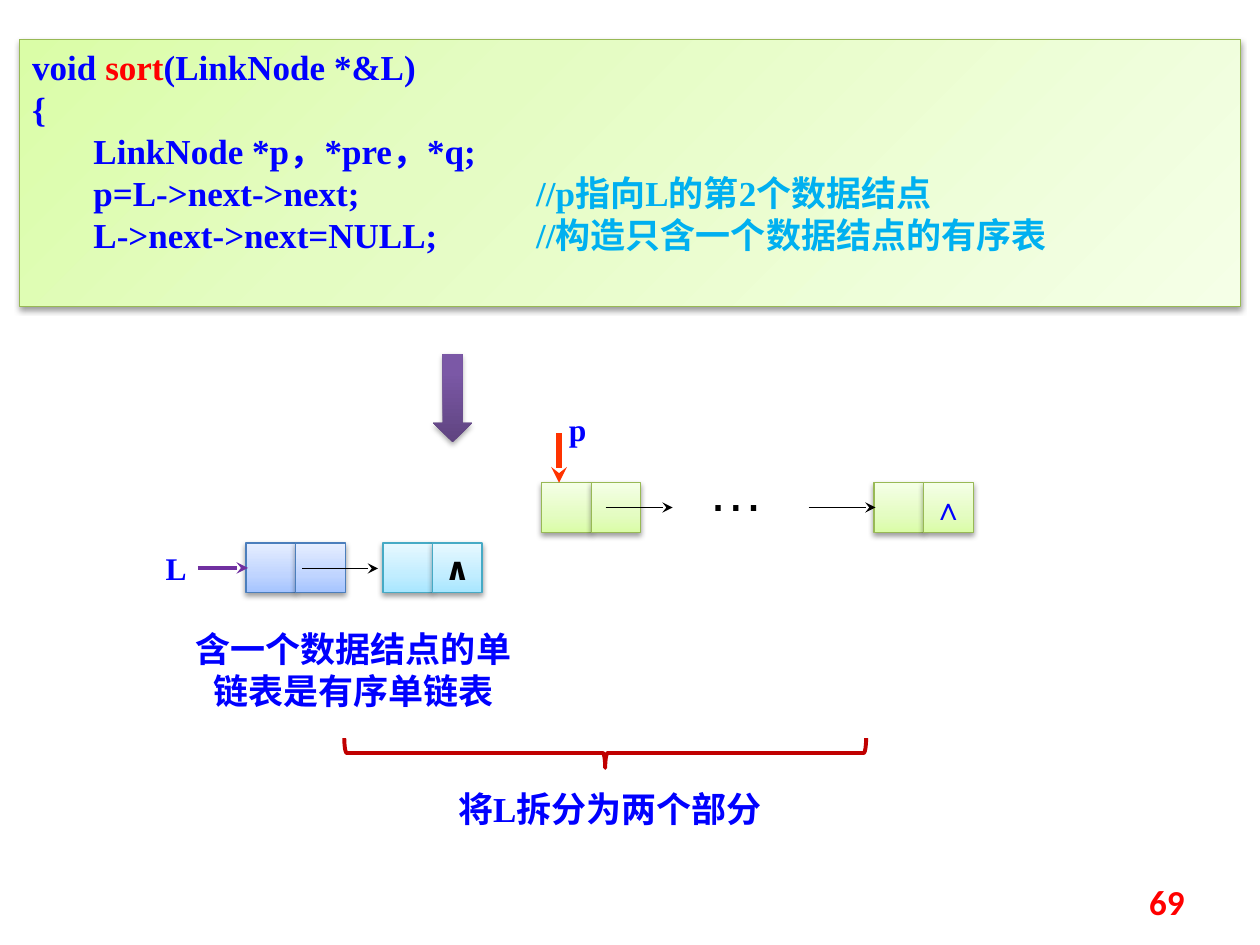
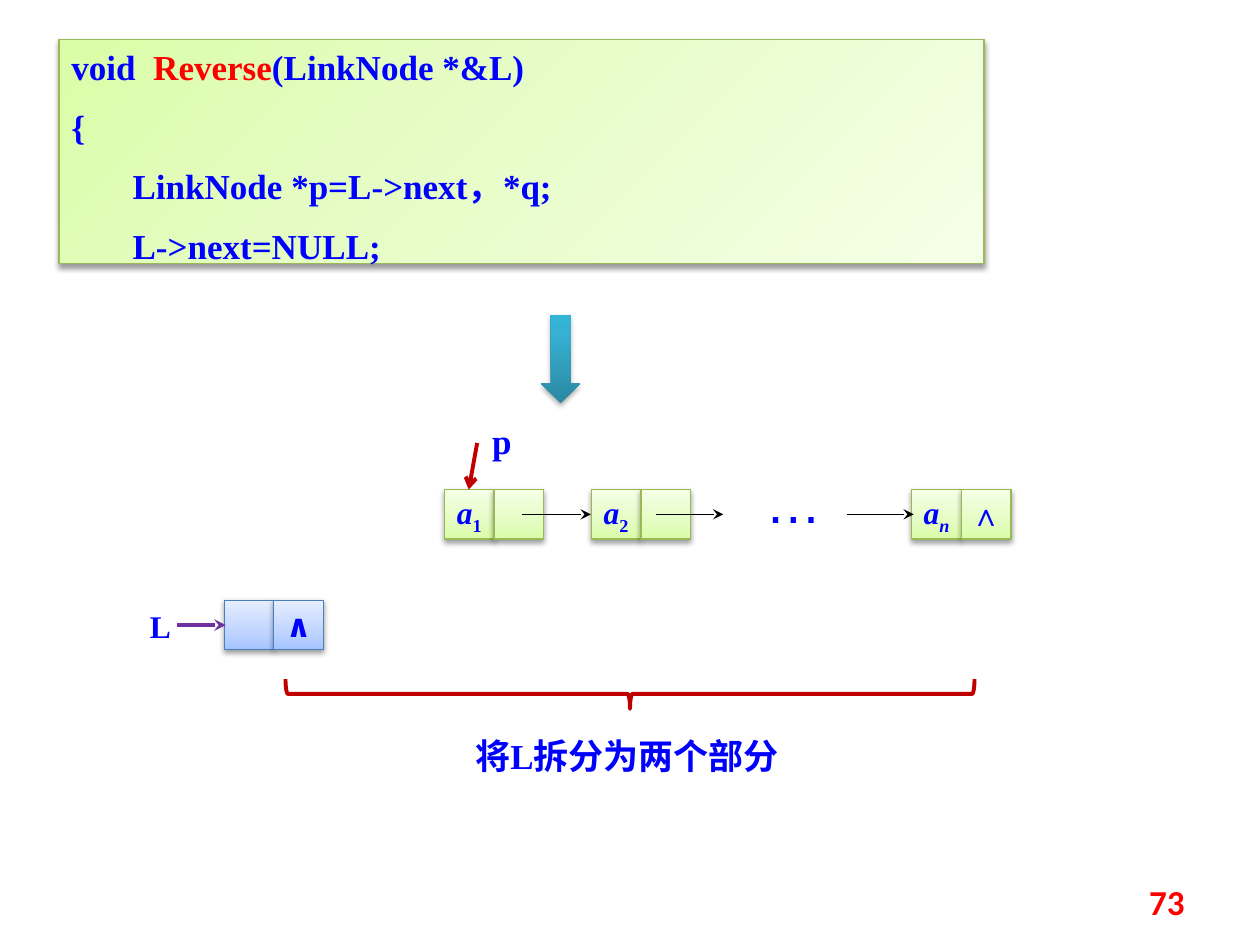
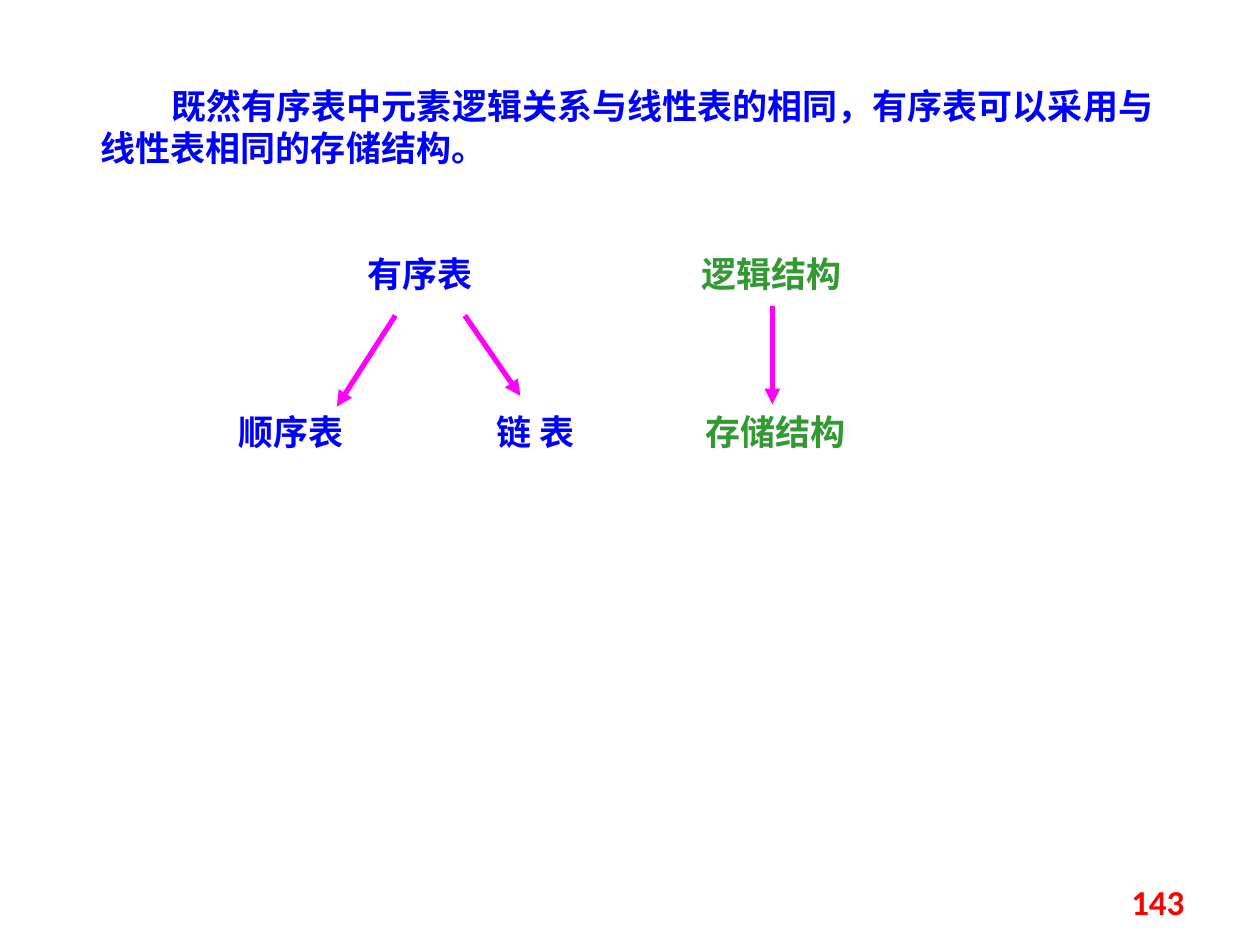
import pptx
import pptx.util
import pptx.dml.color
import pptx.enum.shapes
import pptx.enum.text
import pptx.oxml
import pptx.oxml.ns

Cm, Pt = pptx.util.Cm, pptx.util.Pt
SHAPE = pptx.enum.shapes.MSO_SHAPE
ALIGN = pptx.enum.text.PP_ALIGN
ANCHOR = pptx.enum.text.MSO_ANCHOR

# Shared look
BLUE, RED, SKY, BLACK = "0000FF", "FF0000", "00B0F0", "000000"
PURPLE, CRIMSON, MAGENTA, LEAF = "7030A0", "C00000", "FF00FF", "339933"
SERIF, EAST_ASIAN = "Times New Roman", "Noto Sans CJK SC"
# Gradient stops (percent, colour) and outline
GREEN_NODE = ([(0, "DAFDA7"), (35, "E4FCC2"), (100, "F5FFE7")], "98B955")
BLUE_NODE = ([(0, "A4C4FF"), (35, "BFD4FF"), (100, "E6EEFF")], "4B7EBC")
CYAN_NODE = ([(0, "A7E6FF"), (35, "C1EDFF"), (100, "E7F8FF")], "46AAC5")
PURPLE_ARROW = ([(0, "5F4480"), (80, "7B58A6"), (100, "7C57A8")], None)
CYAN_ARROW = ([(0, "2A88A2"), (80, "37B1D2"), (100, "34B4D6")], None)
CELL = 1.0
COMMENT_TAB = 10.16

# Content: a paragraph is a string or a list of (text, style) spans; places are in cm
END = [("∧", {})]
DARK_END = [("∧", {"font": "DejaVu Sans", "color": BLACK})]
BLUE_END = [("∧", {"font": "DejaVu Sans"})]


def element(index, italic=True):
    return [("a", {"italic": True}), (index, {"italic": italic, "baseline": -25})]


LIST_SLIDES = [
    {
        "code": [
            [("void ", {}), ("sort", {"color": RED}), ("(LinkNode *&L)", {})],
            "{",
            "       LinkNode *p，*pre，*q;",
            [("       p=L->next->next;\t", {}),
             ("//p指向L的第2个数据结点", {"color": SKY})],
            [("       L->next->next=NULL;\t", {}),
             ("//构造只含一个数据结点的有序表", {"color": SKY})],
        ],
        "code_place": (0.4, 0.8, 24.61, 5.38),
        "code_gap": 0,
        "step": ((8.73, 7.14), PURPLE_ARROW),
        # left, top, colours, data text, link text
        "nodes": [
            (4.96, 10.95, BLUE_NODE, None, None),
            (7.72, 10.95, CYAN_NODE, None, DARK_END),
            (10.92, 9.73, GREEN_NODE, None, None),
            (17.62, 9.73, GREEN_NODE, None, END),
        ],
        "links": [(6.09, 11.46, 7.62), (12.21, 10.23, 13.56), (16.3, 10.23, 17.65)],
        "head": (3.99, 11.45, 5.0, 11.45),
        "pointer": ((11.27, 8.73, 11.27, 9.73), "FF3300", 3, "stealth"),
        "labels": [
            ("L", (3.09, 10.95, 1.55, 1.02), {"size": 18}),
            ("p", (11.22, 8.14, 1, 1.02), {"size": 18}),
            ("…", (14.02, 9.06, 2, 1.6),
             {"size": 32, "font": "Arial", "color": BLACK, "bold": False}),
            ("含一个数据结点的单链表是有序单链表", (3.57, 12.52, 7.11, 1.96),
             {"align": ALIGN.CENTER}),
            ("将L拆分为两个部分", (8.73, 15.75, 7.14, 1.12), {"align": ALIGN.CENTER}),
        ],
        "brace": (12.2, 15.18, 10.52),
        "number": "69",
    },
    {
        "code": [
            [("void  ", {}), ("Reverse", {"color": RED}), ("(LinkNode *&L)", {})],
            "{",
            "       LinkNode *p=L->next，*q;",
            "       L->next=NULL;",
        ],
        "code_place": (1.19, 0.8, 18.65, 4.52),
        "code_gap": 10,
        "step": ((10.91, 6.35), CYAN_ARROW),
        "nodes": [
            (4.52, 12.1, BLUE_NODE, None, BLUE_END),
            (8.96, 9.87, GREEN_NODE, element("1", False), None),
            (11.92, 9.87, GREEN_NODE, element("2", False), None),
            (18.38, 9.87, GREEN_NODE, element("n"), END),
        ],
        "links": [(10.52, 10.37, 11.91), (13.23, 10.37, 14.58), (17.07, 10.37, 18.42)],
        "head": (3.56, 12.6, 4.55, 12.6),
        "pointer": ((9.62, 8.93, 9.45, 9.87), CRIMSON, 2.25, "arrow"),
        "labels": [
            ("L", (2.77, 12.12, 0.74, 1.02), {"size": 18}),
            ("p", (9.42, 8.33, 1.4, 1.12), {"align": ALIGN.CENTER}),
            ("…", (15.18, 9.3, 2, 1.6), {"size": 32, "font": "Arial", "bold": False}),
            ("将L拆分为两个部分", (9.33, 14.68, 7.34, 1.12), {}),
        ],
        "brace": (12.7, 13.99, 13.89),
        "number": "73",
    },
]

STORAGE_SLIDE = {
    "intro": "既然有序表中元素逻辑关系与线性表的相同，有序表可以采用与线性表相同的存储结构。",
    "labels": [
        ("有序表", (7.16, 4.97, 5.21, 1.27), {}),
        ("顺序表", (4.56, 8.15, 4.19, 1.27), {}),
        ("链 表", (9.76, 8.15, 3, 1.27), {}),
        ("逻辑结构", (13.89, 4.97, 3.76, 1.09), {"color": LEAF}),
        ("存储结构", (13.97, 8.15, 3.99, 1.09), {"color": LEAF}),
    ],
    "arrows": [(7.97, 6.36, 6.79, 8.2), (9.37, 6.36, 10.49, 7.98),
               (15.57, 6.17, 15.57, 8.15)],
    "number": "143",
}


def rgb(color):
    return pptx.dml.color.RGBColor.from_string(color)


def add_xml(parent, xml, position=None):
    node = pptx.oxml.parse_xml(xml.replace(">", f" {pptx.oxml.ns.nsdecls('a')}>", 1))
    parent.insert(len(parent) if position is None else position, node)


def write(frame, paragraphs, size=20, font=SERIF, color=BLUE, bold=True,
          align=ALIGN.LEFT, gap=0):
    for number, spans in enumerate(paragraphs):
        para = frame.paragraphs[0] if number == 0 else frame.add_paragraph()
        para.alignment = align
        if number and gap:
            para.space_before = Pt(gap)
        for text, style in [(spans, {})] if isinstance(spans, str) else spans:
            span = para.add_run()
            span.text = text
            face = style.get("font", font)
            span.font.name, span.font.size, span.font.bold = face, Pt(size), bold
            span.font.italic = style.get("italic", False)
            span.font.color.rgb = rgb(style.get("color", color))
            properties = span.font._element
            if "baseline" in style:
                properties.set("baseline", str(style["baseline"] * 1000))
            east = EAST_ASIAN if any(letter > "⺀" for letter in text) else face
            properties.find(pptx.oxml.ns.qn("a:latin")).addnext(
                pptx.oxml.parse_xml(
                    f'<a:ea {pptx.oxml.ns.nsdecls("a")} typeface="{east}"/>'))


def add_label(page, text, place, anchor=ANCHOR.TOP, **style):
    box = page.shapes.add_textbox(*map(Cm, place))
    box.text_frame.word_wrap = True
    box.text_frame.vertical_anchor = anchor
    write(box.text_frame, [text], **style)
    return box


def add_shaded(page, kind, place, colors, angle=270, alpha=38):
    """A preset shape with a gradient and a soft shadow below it."""
    stops, outline = colors
    shape = page.shapes.add_shape(kind, *map(Cm, place))
    properties = shape._element.spPr
    stop_xml = "".join(f'<a:gs pos="{at * 1000}"><a:srgbClr val="{color}"/></a:gs>'
                       for at, color in stops)
    add_xml(properties, f'<a:gradFill rotWithShape="1"><a:gsLst>{stop_xml}</a:gsLst>'
            f'<a:lin ang="{angle * 60000}" scaled="0"/></a:gradFill>', 2)
    if outline:
        shape.line.color.rgb = rgb(outline)
        shape.line.width = Pt(0.75)
    else:
        shape.line.fill.background()
    add_xml(properties, '<a:effectLst><a:outerShdw blurRad="40000" dist="20000" '
            'dir="5400000" rotWithShape="0"><a:srgbClr val="000000">'
            f'<a:alpha val="{alpha * 1000}"/></a:srgbClr></a:outerShdw></a:effectLst>')
    return shape


def add_arrow(page, ends, color=BLACK, width=0.75, head="stealth"):
    arrow = page.shapes.add_connector(
        pptx.enum.shapes.MSO_CONNECTOR.STRAIGHT, *map(Cm, ends))
    arrow.line.color.rgb = rgb(color)
    arrow.line.width = Pt(width)
    add_xml(arrow.line._get_or_add_ln(), f'<a:tailEnd type="{head}"></a:tailEnd>')
    add_xml(arrow._element.spPr, "<a:effectLst></a:effectLst>")


def add_node(page, left, top, colors, *texts):
    """A list node: a data cell and a link cell side by side."""
    for column, spans in enumerate(texts):
        place = (left + column * CELL, top, CELL, CELL)
        cell = add_shaded(page, SHAPE.RECTANGLE, place, colors)
        if spans:
            cell.text_frame.word_wrap = False
            cell.text_frame.vertical_anchor = ANCHOR.MIDDLE
            write(cell.text_frame, [spans], size=18, align=ALIGN.CENTER)


def add_code(page, lines, place, gap):
    code = add_shaded(page, SHAPE.RECTANGLE, place, GREEN_NODE, angle=45)
    code.text_frame.word_wrap = True
    code.text_frame.vertical_anchor = ANCHOR.TOP
    write(code.text_frame, lines, gap=gap)
    # Comments line up at one tab stop
    for para in code.text_frame.paragraphs:
        if "\t" in para.text:
            add_xml(para._p.get_or_add_pPr(), "<a:tabLst><a:tab "
                    f'pos="{Cm(COMMENT_TAB)}" algn="l"/></a:tabLst>')


def add_brace(page, center_x, center_y, span, depth=0.6):
    brace = page.shapes.add_shape(
        SHAPE.RIGHT_BRACE, Cm(center_x - depth / 2), Cm(center_y - span / 2),
        Cm(depth), Cm(span))
    brace.rotation = 90
    brace.fill.background()
    brace.line.color.rgb = rgb(CRIMSON)
    brace.line.width = Pt(2.25)
    brace.shadow.inherit = False


def add_page(deck, content):
    page = deck.slides.add_slide(deck.slide_layouts[6])
    for text, place, style in content["labels"]:
        add_label(page, text, place, **style)
    add_label(page, content["number"], (18.21, 17.66, 5.92, 1.02), ANCHOR.MIDDLE,
              font="Calibri", color=RED, align=ALIGN.RIGHT)
    return page


def build_list_slide(deck, content):
    page = add_page(deck, content)
    add_code(page, content["code"], content["code_place"], content["code_gap"])
    corner, colors = content["step"]
    add_shaded(page, SHAPE.DOWN_ARROW, (*corner, 0.79, 1.78), colors, alpha=35)
    for node in content["nodes"]:
        add_node(page, *node)
    for start, level, end in content["links"]:
        add_arrow(page, (start, level, end, level))
    add_arrow(page, content["head"], PURPLE, 2.25)
    add_arrow(page, *content["pointer"])
    add_brace(page, *content["brace"])


def build_storage_slide(deck, content):
    page = add_page(deck, content)
    intro = add_label(page, content["intro"], (1.78, 1.57, 22.43, 2.31))
    # First line indented by two characters
    intro.text_frame.paragraphs[0]._p.get_or_add_pPr().set("indent", str(Cm(1.43)))
    for ends in content["arrows"]:
        add_arrow(page, ends, MAGENTA, 3, "triangle")


def main():
    deck = pptx.Presentation()
    deck.slide_width, deck.slide_height = Cm(25.4), Cm(19.05)
    for content in LIST_SLIDES:
        build_list_slide(deck, content)
    build_storage_slide(deck, STORAGE_SLIDE)
    deck.save("out.pptx")


if __name__ == "__main__":
    main()
